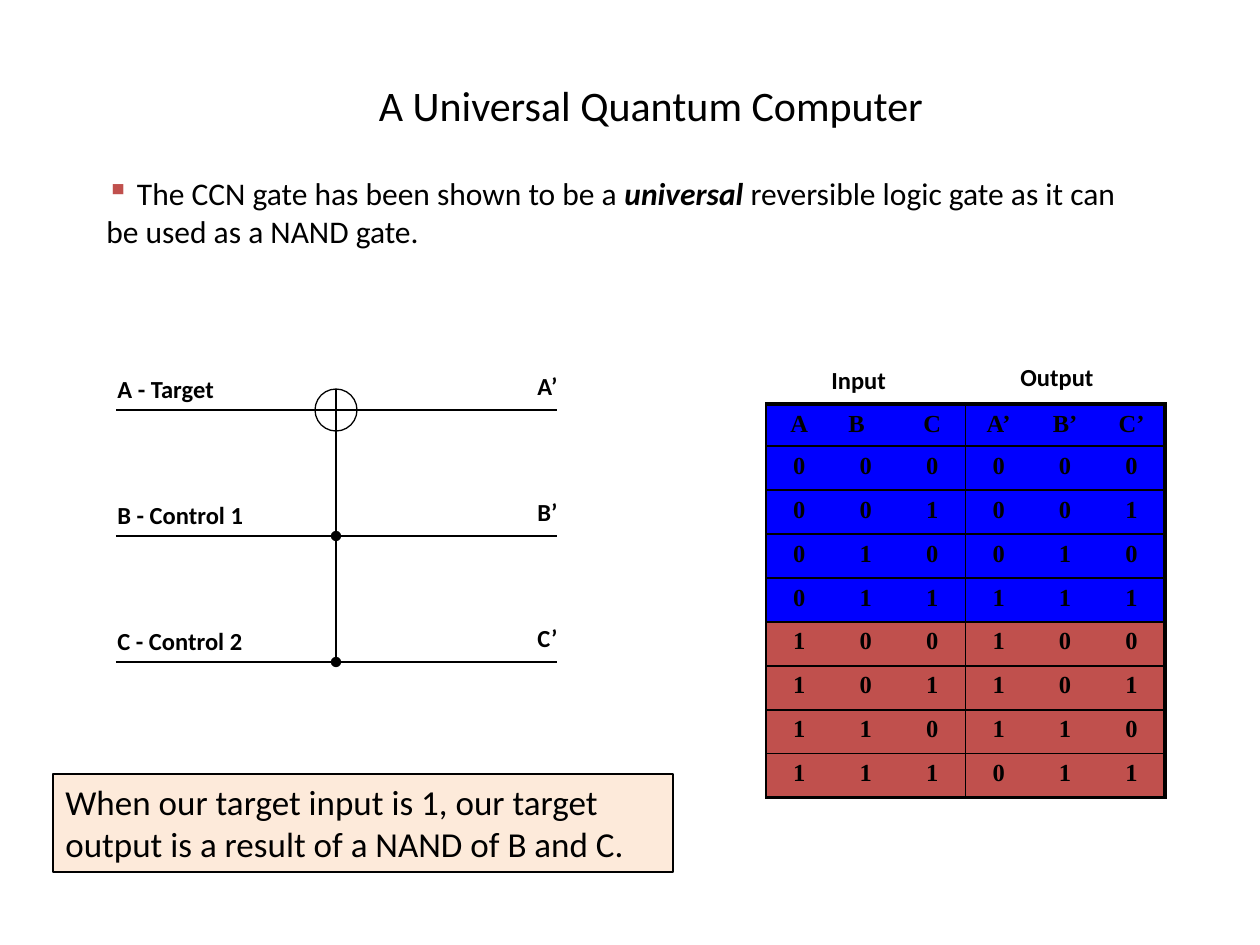
from dataclasses import dataclass

from lxml import etree
from pptx import Presentation
from pptx.dml.color import RGBColor
from pptx.enum.shapes import MSO_CONNECTOR, MSO_SHAPE
from pptx.enum.text import MSO_ANCHOR, MSO_AUTO_SIZE, PP_ALIGN
from pptx.oxml.ns import qn
from pptx.util import Pt

STRAIGHT = MSO_CONNECTOR.STRAIGHT
RECT = MSO_SHAPE.RECTANGLE
TARGET = MSO_SHAPE.FLOWCHART_OR
LEFT, CENTER = PP_ALIGN.LEFT, PP_ALIGN.CENTER
MIDDLE = MSO_ANCHOR.MIDDLE
GROW = MSO_AUTO_SIZE.SHAPE_TO_FIT_TEXT
PX = 914400 / 126


@dataclass(frozen=True)
class Theme:
    """Colours, fonts and type sizes of the slide."""
    ink: str = "000000"
    blue: str = "0000FF"
    red: str = "C0504D"
    cream: str = "FDEADA"
    sans: str = "Calibri"
    serif: str = "Times New Roman"
    title: int = 24
    body: int = 18
    note: int = 20
    label: int = 14
    thin: float = 0.75
    rule: float = 1
    frame: float = 2.25


THEME = Theme()


def emu(*sizes):
    """Turn px lengths into EMU."""
    return [round(size * PX) for size in sizes]


def write(frame, text, size=THEME.label, font=THEME.sans, bold=False, align=LEFT, strong=""):
    """Write one paragraph, with the word in strong set bold italic."""
    para = frame.paragraphs[0]
    para.alignment = align
    parts = text.partition(strong) if strong else (text,)
    for part in parts:
        run = para.add_run()
        run.text = part
        run.font.size = Pt(size)
        run.font.name = font
        run.font.bold = bold or part == strong
        run.font.italic = part == strong
        run.font.color.rgb = RGBColor.from_string(THEME.ink)
    return para


def add_text(slide, box, text, **style):
    """Add a wrapped text box that fits its text."""
    frame = slide.shapes.add_textbox(*emu(*box)).text_frame
    frame.word_wrap = True
    frame.auto_size = GROW
    return write(frame, text, **style)


def add_line(slide, start, end, dot=False):
    """Add a thin line, with a dot at its end if asked."""
    line = slide.shapes.add_connector(STRAIGHT, *emu(*start, *end))
    line.line.color.rgb = RGBColor.from_string(THEME.ink)
    line.line.width = Pt(THEME.thin)
    if dot:
        etree.SubElement(line.line._get_or_add_ln(), qn("a:tailEnd"), type="oval")
    etree.SubElement(line._element.spPr, qn("a:effectLst"))


def add_shape(slide, kind, box, fill=None):
    """Add an outlined shape, filled if a colour is given."""
    shape = slide.shapes.add_shape(kind, *emu(*box))
    shape.shadow.inherit = False
    shape.line.color.rgb = RGBColor.from_string(THEME.ink)
    shape.line.width = Pt(THEME.thin)
    if fill:
        shape.fill.solid()
        shape.fill.fore_color.rgb = RGBColor.from_string(fill)
    else:
        shape.fill.background()
    return shape


def add_title(slide, box, text):
    """Place and fill the title."""
    title = slide.shapes.title
    title.left, title.top, title.width, title.height = emu(*box)
    title.text_frame.vertical_anchor = MIDDLE
    write(title.text_frame, text, size=THEME.title, align=CENTER)


def add_point(slide, box, text, strong):
    """Add the bulleted statement."""
    para = add_text(slide, box, text, size=THEME.body, strong=strong)
    props = para._p.get_or_add_pPr()
    tint = etree.SubElement(props, qn("a:buClr"))
    etree.SubElement(tint, qn("a:srgbClr"), val=THEME.red)
    etree.SubElement(props, qn("a:buChar"), char="▪")


def add_gate(slide, box):
    """Draw the three wires, the target and its controls."""
    left, top, width, height = box
    gap, ring = height // 2, 42
    right, mid = left + width, left + width // 2
    half = ring // 2
    add_shape(slide, TARGET, (mid - half, top - half, ring, ring))
    add_line(slide, (mid - half, top), (left, top))
    add_line(slide, (right, top), (mid + half, top))
    above = top + half
    names = ("A - Target", "B - Control 1", "C - Control 2")
    for row, name in enumerate(names):
        y = top + row * gap
        if row:
            add_line(slide, (left, y), (right, y))
            add_line(slide, (mid, above), (mid, y), dot=True)
            above = y
        add_text(slide, (left - 11, y - 42, 168, 42), name, bold=True)
        add_text(slide, (right - 32, y - 45, 66, 42), name[0] + "’", bold=True)


def set_edge(cell, side, width):
    """Draw one border of a cell, or none at width 0."""
    edge = etree.SubElement(cell._tc.get_or_add_tcPr(), qn(f"a:ln{side}"), w=str(Pt(width)))
    if width:
        fill = etree.SubElement(edge, qn("a:solidFill"))
        etree.SubElement(fill, qn("a:srgbClr"), val=THEME.ink)
    else:
        etree.SubElement(edge, qn("a:noFill"))


def add_truth(slide, box, head):
    """Add the truth table of the gate under its two captions."""
    left, top, width, height = box
    add_text(slide, (left + 53, top - 45, 92, 42), "Input", bold=True)
    add_text(slide, (left + 242, top - 48, 116, 42), "Output", bold=True)
    bits = [(n >> 2, n >> 1 & 1, n & 1) for n in range(8)]
    rows = [("A", "B", "C", "A’", "B’", "C’")]
    rows += [(a, b, c, a ^ (b & c), b, c) for a, b, c in bits]
    table = slide.shapes.add_table(len(rows), 6, *emu(*box)).table
    table.first_row = table.horz_banding = False
    for col in table.columns:
        col.width = emu(width / 6)[0]
    step = (height - head) / len(bits)
    last = len(rows) - 1
    for r, row in enumerate(rows):
        table.rows[r].height = emu(step if r else head)[0]
        for c, value in enumerate(row):
            cell = table.cell(r, c)
            set_edge(cell, "L", 0 if c % 3 else THEME.rule)
            set_edge(cell, "R", {2: THEME.rule, 5: THEME.frame}.get(c, 0))
            set_edge(cell, "T", THEME.rule if r else THEME.frame)
            set_edge(cell, "B", THEME.frame if r == last else THEME.rule)
            cell.fill.solid()
            tint = THEME.blue if r < 5 else THEME.red
            cell.fill.fore_color.rgb = RGBColor.from_string(tint)
            write(cell.text_frame, str(value), font=THEME.serif, bold=True, align=CENTER)
    table.cell(0, 1).margin_right = emu(31)[0]


def add_note(slide, box, text):
    """Add the framed conclusion."""
    frame = add_shape(slide, RECT, box, THEME.cream).text_frame
    frame.word_wrap = True
    frame.auto_size = GROW
    write(frame, text, size=THEME.note)


def main():
    """Build and save the slide."""
    deck = Presentation()
    deck.slide_width, deck.slide_height = emu(1260, 945)
    slide = deck.slides.add_slide(deck.slide_layouts[5])
    add_title(slide, (84, 73, 1134, 63), "A Universal Quantum Computer")
    add_point(slide, (94, 168, 1071, 113),
              " The CCN gate has been shown to be a universal reversible logic gate "
              "as it can be used as a NAND gate.", "universal ")
    add_gate(slide, (116, 410, 441, 252))
    add_truth(slide, (766, 404, 399, 394), 42)
    add_note(slide, (53, 774, 620, 98),
             "When our target input is 1, our target output is a result of a NAND of B and C.")
    deck.save("out.pptx")


if __name__ == "__main__":
    main()
